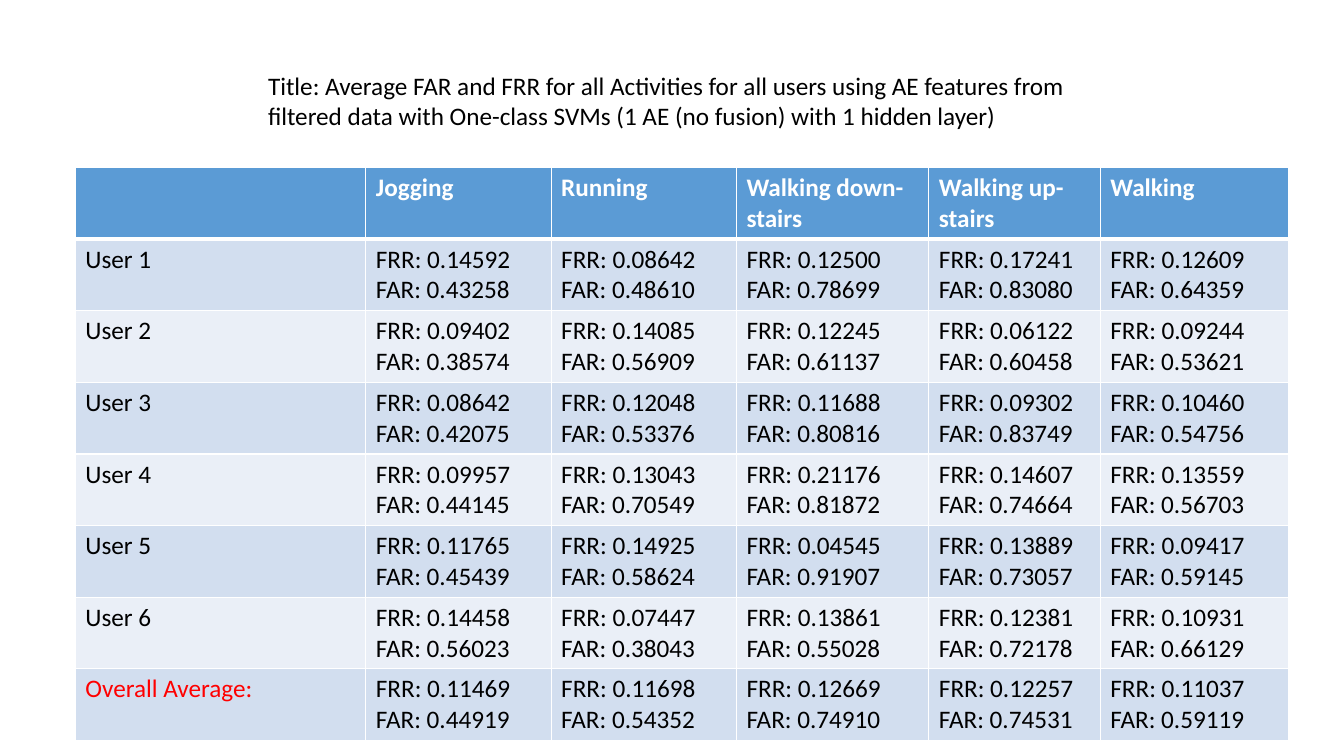
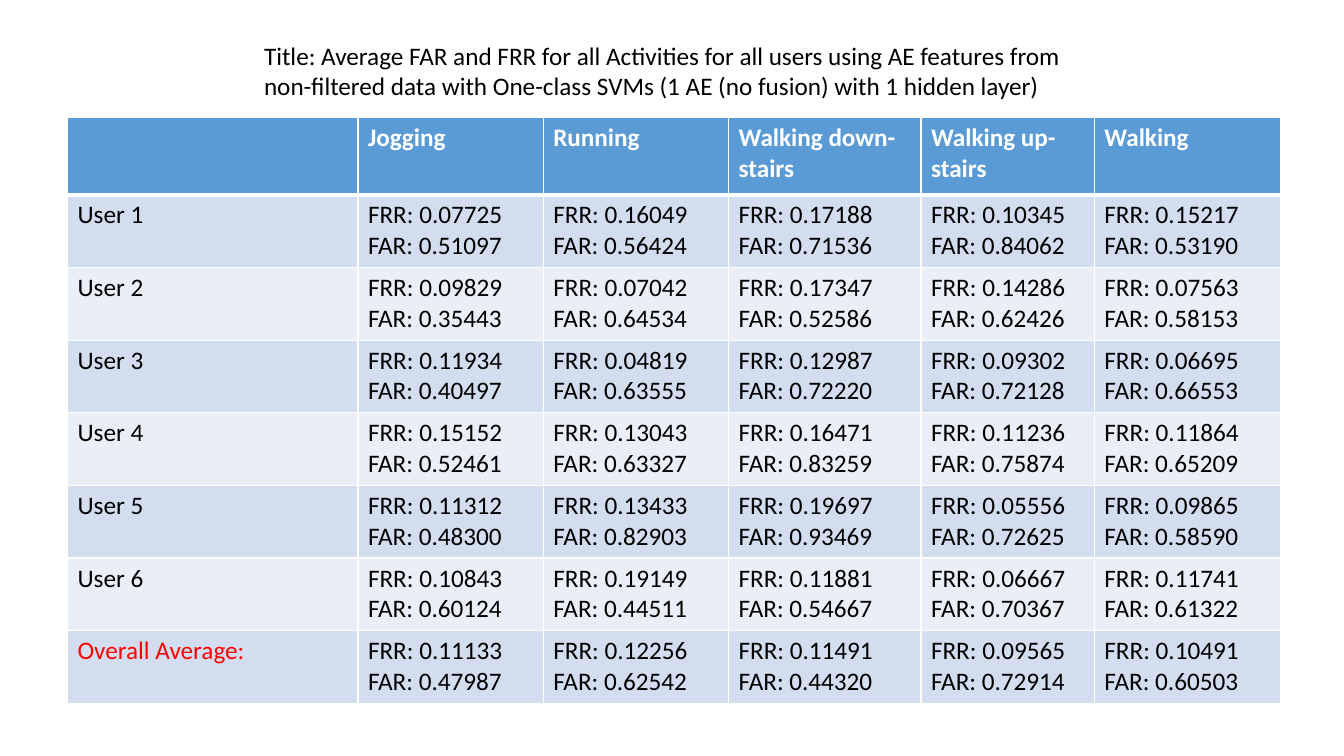
from dataclasses import dataclass

from lxml import etree
from pptx import Presentation
from pptx.dml.color import RGBColor
from pptx.enum.text import MSO_ANCHOR, MSO_AUTO_SIZE, PP_ALIGN
from pptx.oxml.ns import qn
from pptx.util import Cm, Pt

TOP = MSO_ANCHOR.TOP
LEFT = PP_ALIGN.LEFT
FIXED = MSO_AUTO_SIZE.NONE
TITLE_ONLY = 5


@dataclass(frozen=True)
class Theme:
    font: str = "Calibri"
    size: int = 18
    text: str = "000000"
    header_text: str = "FFFFFF"
    average_text: str = "FF0000"
    header_fill: str = "5B9BD5"
    bands: tuple = ("D2DEEF", "EAEFF7")
    border: str = "FFFFFF"
    thin: int = 1
    thick: int = 3


THEME = Theme()

TITLE = ("Title: Average FAR and FRR for all Activities for all users using AE features "
         "from {} data with One-class SVMs (1 AE (no fusion) with 1 hidden layer)")
ACTIVITIES = ["Jogging", "Running", "Walking down-stairs", "Walking up-stairs", "Walking"]
ROW_NAMES = [f"User {number}" for number in range(1, 7)] + ["Overall Average:"]

# Each row holds one (FRR, FAR) pair per activity; lengths are in centimetres.
SLIDES = [
    {
        "data": "filtered",
        "title_at": (6.5, 1.65),
        "table_at": (1.9, 4.22),
        "columns": [7.32, 4.67, 4.67, 4.85, 4.32, 4.75],
        "header_height": 1.7,
        "row_height": 1.7,
        "rates": [
            [(0.14592, 0.43258), (0.08642, 0.48610), (0.12500, 0.78699), (0.17241, 0.83080), (0.12609, 0.64359)],
            [(0.09402, 0.38574), (0.14085, 0.56909), (0.12245, 0.61137), (0.06122, 0.60458), (0.09244, 0.53621)],
            [(0.08642, 0.42075), (0.12048, 0.53376), (0.11688, 0.80816), (0.09302, 0.83749), (0.10460, 0.54756)],
            [(0.09957, 0.44145), (0.13043, 0.70549), (0.21176, 0.81872), (0.14607, 0.74664), (0.13559, 0.56703)],
            [(0.11765, 0.45439), (0.14925, 0.58624), (0.04545, 0.91907), (0.13889, 0.73057), (0.09417, 0.59145)],
            [(0.14458, 0.56023), (0.07447, 0.38043), (0.13861, 0.55028), (0.12381, 0.72178), (0.10931, 0.66129)],
            [(0.11469, 0.44919), (0.11698, 0.54352), (0.12669, 0.74910), (0.12257, 0.74531), (0.11037, 0.59119)],
        ],
    },
    {
        "data": "non-filtered",
        "title_at": (6.4, 0.89),
        "table_at": (1.7, 2.96),
        "columns": [7.32, 4.67, 4.67, 4.85, 4.37, 4.7],
        "header_height": 1.95,
        "row_height": 1.83,
        "rates": [
            [(0.07725, 0.51097), (0.16049, 0.56424), (0.17188, 0.71536), (0.10345, 0.84062), (0.15217, 0.53190)],
            [(0.09829, 0.35443), (0.07042, 0.64534), (0.17347, 0.52586), (0.14286, 0.62426), (0.07563, 0.58153)],
            [(0.11934, 0.40497), (0.04819, 0.63555), (0.12987, 0.72220), (0.09302, 0.72128), (0.06695, 0.66553)],
            [(0.15152, 0.52461), (0.13043, 0.63327), (0.16471, 0.83259), (0.11236, 0.75874), (0.11864, 0.65209)],
            [(0.11312, 0.48300), (0.13433, 0.82903), (0.19697, 0.93469), (0.05556, 0.72625), (0.09865, 0.58590)],
            [(0.10843, 0.60124), (0.19149, 0.44511), (0.11881, 0.54667), (0.06667, 0.70367), (0.11741, 0.61322)],
            [(0.11133, 0.47987), (0.12256, 0.62542), (0.11491, 0.44320), (0.09565, 0.72914), (0.10491, 0.60503)],
        ],
    },
]


def write(frame, lines, color=THEME.text, bold=False):
    """Fill a text frame with one left-aligned paragraph per line."""
    for index, line in enumerate(lines):
        para = frame.paragraphs[0] if index == 0 else frame.add_paragraph()
        para.alignment = LEFT
        span = para.add_run()
        span.text = line
        span.font.name = THEME.font
        span.font.size = Pt(THEME.size)
        span.font.bold = bold
        span.font.color.rgb = RGBColor.from_string(color)


def set_borders(cell, top, bottom):
    properties = cell._tc.get_or_add_tcPr()
    widths = {"a:lnL": THEME.thin, "a:lnR": THEME.thin, "a:lnT": top, "a:lnB": bottom}
    for tag, width in widths.items():
        line = etree.SubElement(properties, qn(tag), w=str(Pt(width)))
        fill = etree.SubElement(line, qn("a:solidFill"))
        etree.SubElement(fill, qn("a:srgbClr"), val=THEME.border)


def add_title(page, content):
    box = page.shapes.title
    box.left, box.top = map(Cm, content["title_at"])
    box.width, box.height = Cm(20.65), Cm(1.8)
    frame = box.text_frame
    frame.word_wrap = True
    frame.auto_size = FIXED
    frame.vertical_anchor = TOP
    write(frame, [TITLE.format(content["data"])])


def table_rows(rates):
    """Return every table row as cells, each a list of lines."""
    header = [[]] + [[activity] for activity in ACTIVITIES]
    body = [[[name]] + [[f"FRR: {frr:.5f}", f"FAR: {far:.5f}"] for frr, far in pairs]
            for name, pairs in zip(ROW_NAMES, rates)]
    return [header] + body


def cell_color(row, column, last_row):
    if row == 0:
        return THEME.header_text
    return THEME.average_text if (row, column) == (last_row, 0) else THEME.text


def add_rate_table(page, content):
    rows = table_rows(content["rates"])
    last_row = len(rows) - 1
    widths = content["columns"]
    heights = [content["header_height"]] + [content["row_height"]] * last_row
    left, top = content["table_at"]
    table = page.shapes.add_table(len(rows), len(widths), Cm(left), Cm(top),
                                  Cm(sum(widths)), Cm(sum(heights))).table
    for column, width in zip(table.columns, widths):
        column.width = Cm(width)
    for row, height in zip(table.rows, heights):
        row.height = Cm(height)

    for row, cells in enumerate(rows):
        fill = THEME.bands[(row - 1) % 2] if row else THEME.header_fill
        for column, lines in enumerate(cells):
            cell = table.cell(row, column)
            set_borders(cell, top=THEME.thick if row == 1 else THEME.thin,
                        bottom=THEME.thick if row == 0 else THEME.thin)
            cell.fill.solid()
            cell.fill.fore_color.rgb = RGBColor.from_string(fill)
            write(cell.text_frame, lines, color=cell_color(row, column, last_row), bold=row == 0)


def main():
    deck = Presentation()
    deck.slide_width, deck.slide_height = Cm(33.87), Cm(19.05)
    for content in SLIDES:
        page = deck.slides.add_slide(deck.slide_layouts[TITLE_ONLY])
        add_title(page, content)
        add_rate_table(page, content)
    deck.save("out.pptx")


if __name__ == "__main__":
    main()
